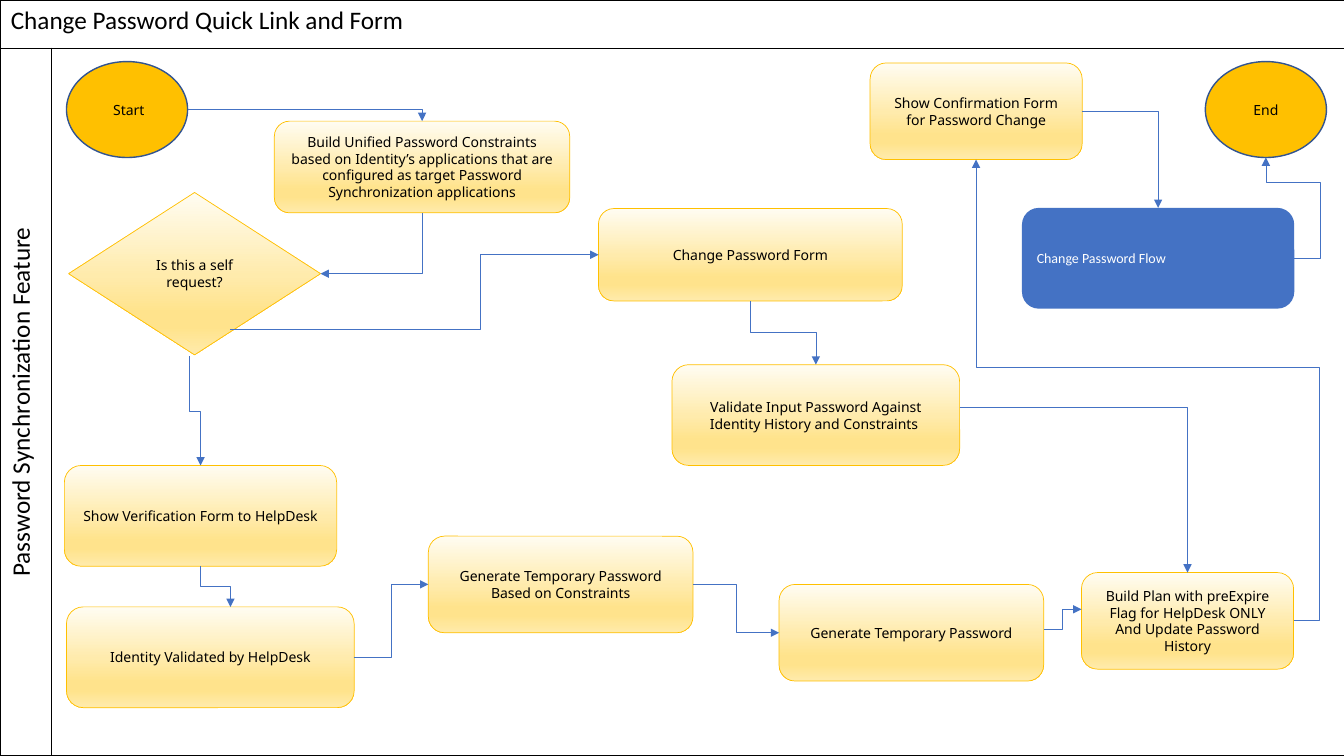
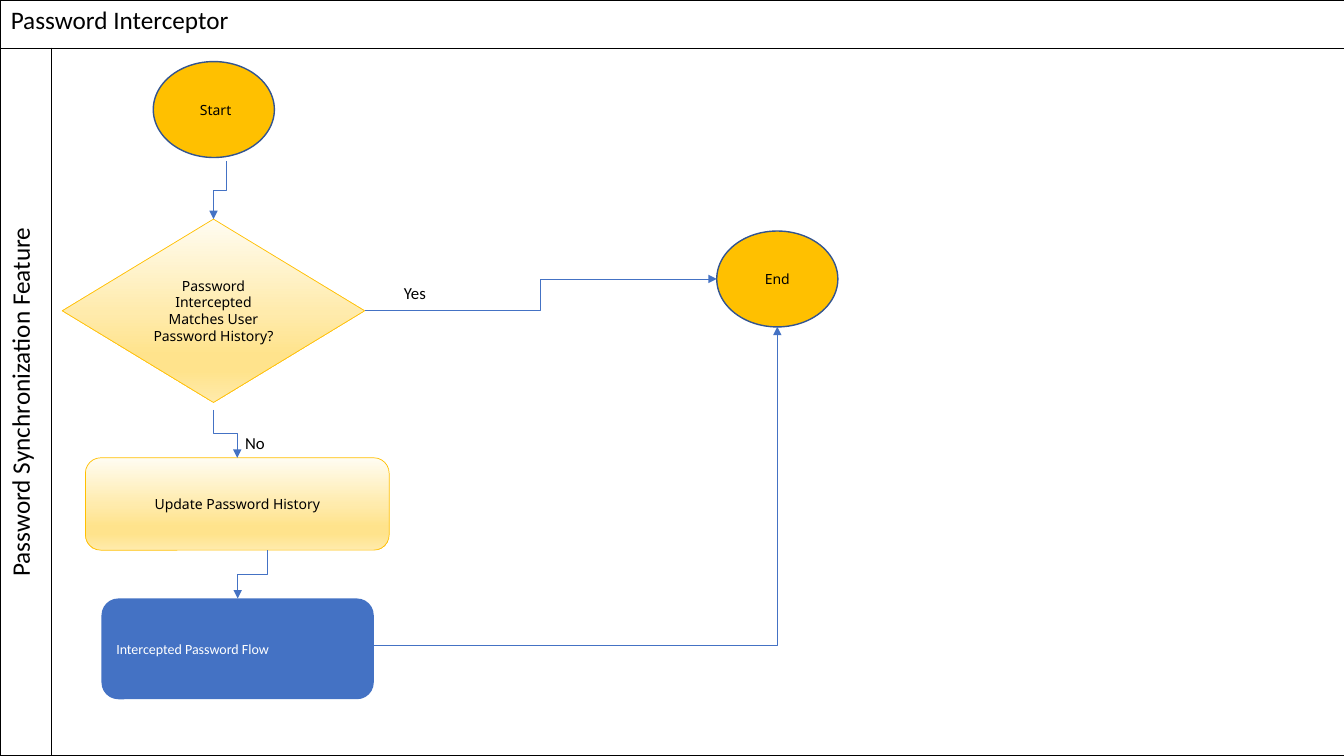
from lxml import etree
from pptx import Presentation
from pptx.dml.color import RGBColor
from pptx.enum.shapes import MSO_CONNECTOR, MSO_SHAPE
from pptx.enum.text import MSO_ANCHOR, PP_ALIGN
from pptx.oxml import parse_xml
from pptx.oxml.ns import nsdecls, qn
from pptx.util import Pt

OVAL, ROUND, DIAMOND = MSO_SHAPE.OVAL, MSO_SHAPE.ROUNDED_RECTANGLE, MSO_SHAPE.DIAMOND
ELBOW = MSO_CONNECTOR.ELBOW
LEFT, CENTER, MIDDLE = PP_ALIGN.LEFT, PP_ALIGN.CENTER, MSO_ANCHOR.MIDDLE

BLACK = RGBColor(0x00, 0x00, 0x00)
WHITE = RGBColor(0xFF, 0xFF, 0xFF)
GOLD = RGBColor(0xFF, 0xC0, 0x00)
NAVY = RGBColor(0x32, 0x54, 0x91)
BLUE = RGBColor(0x44, 0x72, 0xC4)
CREAM = RGBColor(0xFF, 0xFC, 0xF2)
SAND = RGBColor(0xFF, 0xEB, 0xAC)
HONEY = RGBColor(0xFF, 0xE3, 0x8C)
FADE = ((0, CREAM), (51, SAND), (74, HONEY), (83, HONEY), (100, SAND))

BODY, HEAD = "Noto Sans", "Calibri"
PAGE = (0.5, 0, 960, 540)
BAND, SIDE = 34.5, 36
TOP, FOOT, WEST, EAST = (0.5, 0), (0.5, 1), (0, 0.5), (1, 0.5)


def style(frame, size, face, color, align):
    """Set one font and alignment on every paragraph of a frame."""
    for para in frame.paragraphs:
        para.alignment = align
        para.font.size = Pt(size)
        para.font.name = face
        para.font.color.rgb = color


def fade(shape):
    """Fill a shape with the vertical golden gradient."""
    stops = "".join(
        f'<a:gs pos="{pos * 1000}"><a:srgbClr val="{color}"/></a:gs>'
        for pos, color in FADE
    )
    shape.fill.background()
    props = shape._element.spPr
    props.replace(props.find(qn("a:noFill")), parse_xml(
        f'<a:gradFill {nsdecls("a")} rotWithShape="1"><a:gsLst>{stops}</a:gsLst>'
        '<a:lin ang="5400000" scaled="0"/></a:gradFill>'))


def node(slide, kind, box, text, face=BODY, color=BLACK, align=CENTER):
    """Add a labelled shape without shadow."""
    shape = slide.shapes.add_shape(kind, *map(Pt, box))
    shape.shadow.inherit = False
    frame = shape.text_frame
    frame.word_wrap = True
    frame.vertical_anchor = MIDDLE
    frame.text = text
    style(frame, 10, face, color, align)
    return shape


def dot(slide, left, top, text):
    """Add a start or end oval and return its box."""
    box = (left, top, 86.5, 68.5)
    shape = node(slide, OVAL, box, text)
    shape.fill.solid()
    shape.fill.fore_color.rgb = GOLD
    shape.line.color.rgb = NAVY
    shape.line.width = Pt(1)
    return box


def step(slide, box, text, kind=ROUND):
    """Add a golden step or decision and return its box."""
    shape = node(slide, kind, box, text)
    fade(shape)
    shape.line.color.rgb = GOLD
    shape.line.width = Pt(0.5)
    return box


def flow(slide, left, top, text):
    """Add a blue box for another flow and return its box."""
    box = (left, top, 194.5, 72)
    shape = node(slide, ROUND, box, text, HEAD, WHITE, LEFT)
    shape.fill.solid()
    shape.fill.fore_color.rgb = BLUE
    shape.line.fill.background()
    return box


def spot(box, part):
    """Return the point at the given fractions of a box."""
    left, top, width, height = box
    return left + width * part[0], top + height * part[1]


def link(slide, first, start, last, end, bends=3, down=False, adjust=()):
    """Join two boxes with a bent arrow that leaves sideways or downwards."""
    (x1, y1), (x2, y2) = spot(first, start), spot(last, end)
    right = x2 > x1
    if down:
        midx, midy = (x1 + x2) / 2, (y1 + y2) / 2
        halfx, halfy = (y2 - y1) / 2, abs(x2 - x1) / 2
        if right:
            halfx = -halfx
        x1, y1, x2, y2 = midx - halfx, midy - halfy, midx + halfx, midy + halfy
    arrow = slide.shapes.add_connector(ELBOW, *map(Pt, (x1, y1, x2, y2)))
    arrow.line.color.rgb = BLUE
    arrow.line.width = Pt(0.5)
    props = arrow._element.spPr
    if down:
        props.find(qn("a:xfrm")).set("rot", str((270 if right else 90) * 60000))
    geom = props.find(qn("a:prstGeom"))
    geom.set("prst", f"bentConnector{bends}")
    guides = geom.find(qn("a:avLst"))
    for num, part in enumerate(adjust, 1):
        name = "adj1" if bends == 3 else f"adj{num}"
        etree.SubElement(guides, qn("a:gd"), name=name,
                         fmla=f"val {round(part * 100000)}")
    etree.SubElement(props.find(qn("a:ln")), qn("a:tailEnd"), type="triangle")
    etree.SubElement(props, qn("a:effectLst"))


def note(slide, left, top, text):
    """Add a label beside an arrow."""
    frame = slide.shapes.add_textbox(Pt(left), Pt(top), Pt(47), Pt(22)).text_frame
    frame.word_wrap = True
    frame.text = text
    style(frame, 12, HEAD, BLACK, LEFT)


def edge(cell):
    """Clear a cell's fill and draw its four borders."""
    cell.fill.background()
    props = cell._tc.get_or_add_tcPr()
    for num, side in enumerate("LRTB"):
        props.insert(num, parse_xml(
            f'<a:ln{side} {nsdecls("a")} w="12700"><a:solidFill>'
            f'<a:srgbClr val="{BLACK}"/></a:solidFill></a:ln{side}>'))


def lane(deck, title):
    """Add a slide with the titled swimlane table."""
    slide = deck.slides.add_slide(deck.slide_layouts[6])
    table = slide.shapes.add_table(2, 2, *map(Pt, PAGE)).table
    table.first_row = table.horz_banding = False
    for col, width in zip(table.columns, (SIDE, PAGE[2] - SIDE)):
        col.width = Pt(width)
    for row, height in zip(table.rows, (BAND, PAGE[3] - BAND)):
        row.height = Pt(height)
    for cell in table.iter_cells():
        edge(cell)
    head, side = table.cell(0, 0), table.cell(1, 0)
    head.merge(table.cell(0, 1))
    head.text = title
    style(head.text_frame, 18, HEAD, BLACK, LEFT)
    side.text = "Password Synchronization Feature"
    style(side.text_frame, 18, HEAD, BLACK, CENTER)
    side._tc.get_or_add_tcPr().set("vert", "vert270")
    return slide


def change(deck):
    """Build the slide on changing a password."""
    slide = lane(deck, "Change Password Quick Link and Form")
    start = dot(slide, 47.5, 44, " Start")
    end = dot(slide, 861, 44, "End")
    build = step(slide, (196, 86.5, 211, 65.5),
                 "Build Unified Password Constraints based on Identity’s applications "
                 "that are configured as target Password Synchronization applications")
    verify = step(slide, (46, 332.5, 194.5, 72), "Show Verification Form to HelpDesk")
    own = step(slide, (49, 137.5, 180, 116), "Is this a self request?", DIAMOND)
    form = step(slide, (427.5, 149, 217, 66), "Change Password Form")
    check = step(slide, (480, 260.5, 205.5, 72),
                 "Validate Input Password Against Identity History and Constraints ")
    valid = step(slide, (47.5, 433.5, 205.5, 72), "Identity Validated by HelpDesk")
    based = step(slide, (306, 383, 189, 69),
                 "Generate Temporary Password Based on Constraints")
    temp = step(slide, (556.5, 417.5, 189, 69), "Generate Temporary Password")
    plan = step(slide, (772.5, 409, 151.5, 69),
                "Build Plan with preExpire Flag for HelpDesk ONLY\n"
                "And Update Password History")
    show = step(slide, (621.5, 45, 151.5, 69),
                "Show Confirmation Form for Password Change")
    other = flow(slide, 730, 148.5, "Change Password Flow")

    link(slide, start, EAST, build, TOP, 2)
    link(slide, build, FOOT, own, EAST, 2, True)
    link(slide, own, (0.64, 0.84), form, WEST, adjust=(0.68,))
    link(slide, own, (0.48, 1.01), verify, TOP, down=True)
    link(slide, verify, FOOT, valid, (0.57, 0), down=True)
    link(slide, valid, EAST, based, WEST)
    link(slide, based, EAST, temp, WEST)
    link(slide, temp, (1, 0.46), plan, (0, 0.38))
    link(slide, form, FOOT, check, TOP, down=True)
    link(slide, check, (1, 0.42), plan, TOP, 2)
    link(slide, plan, EAST, show, FOOT, 4, adjust=(-0.08, 0.55))
    link(slide, show, EAST, other, TOP, 2)
    link(slide, other, EAST, end, FOOT, 4, adjust=(-0.92, 0.75))


def catch(deck):
    """Build the slide on intercepting a password."""
    slide = lane(deck, "Password Interceptor")
    start = dot(slide, 109.5, 44, " Start")
    end = dot(slide, 512, 165, "End")
    match = step(slide, (44.5, 156.5, 216, 131),
                 "Password Intercepted Matches User Password History?", DIAMOND)
    update = step(slide, (61, 327, 217, 66), "Update Password History")
    other = flow(slide, 72.5, 427.5, "Intercepted Password Flow")

    link(slide, start, (0.6, 1.04), match, TOP, down=True)
    link(slide, match, EAST, end, WEST)
    link(slide, match, (0.5, 1.04), update, TOP, down=True)
    link(slide, update, (0.6, 1), other, TOP, down=True)
    link(slide, other, (1, 0.47), end, FOOT, 2)
    note(slide, 281.5, 198.5, "Yes")
    note(slide, 168, 305.5, "No")


def main():
    """Build and save the deck."""
    deck = Presentation()
    deck.slide_width, deck.slide_height = Pt(960), Pt(540)
    change(deck)
    catch(deck)
    deck.save("out.pptx")


if __name__ == "__main__":
    main()
